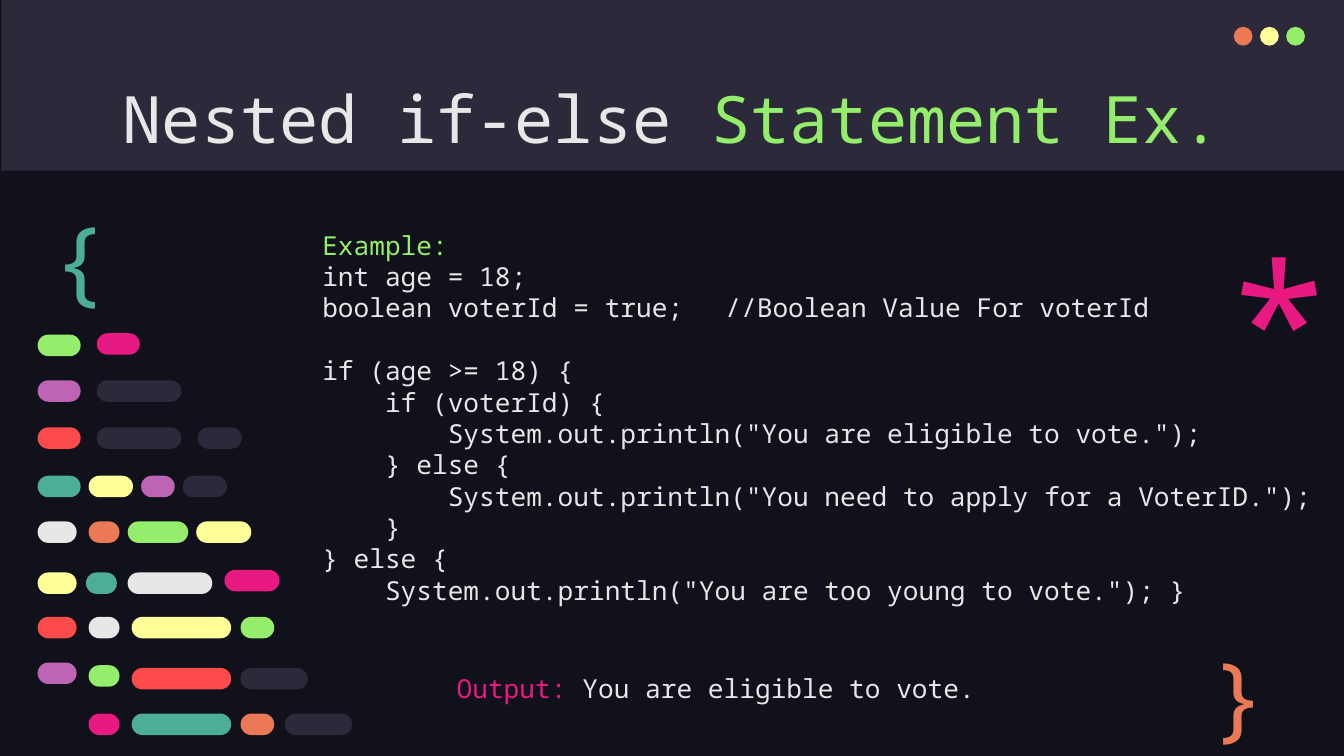
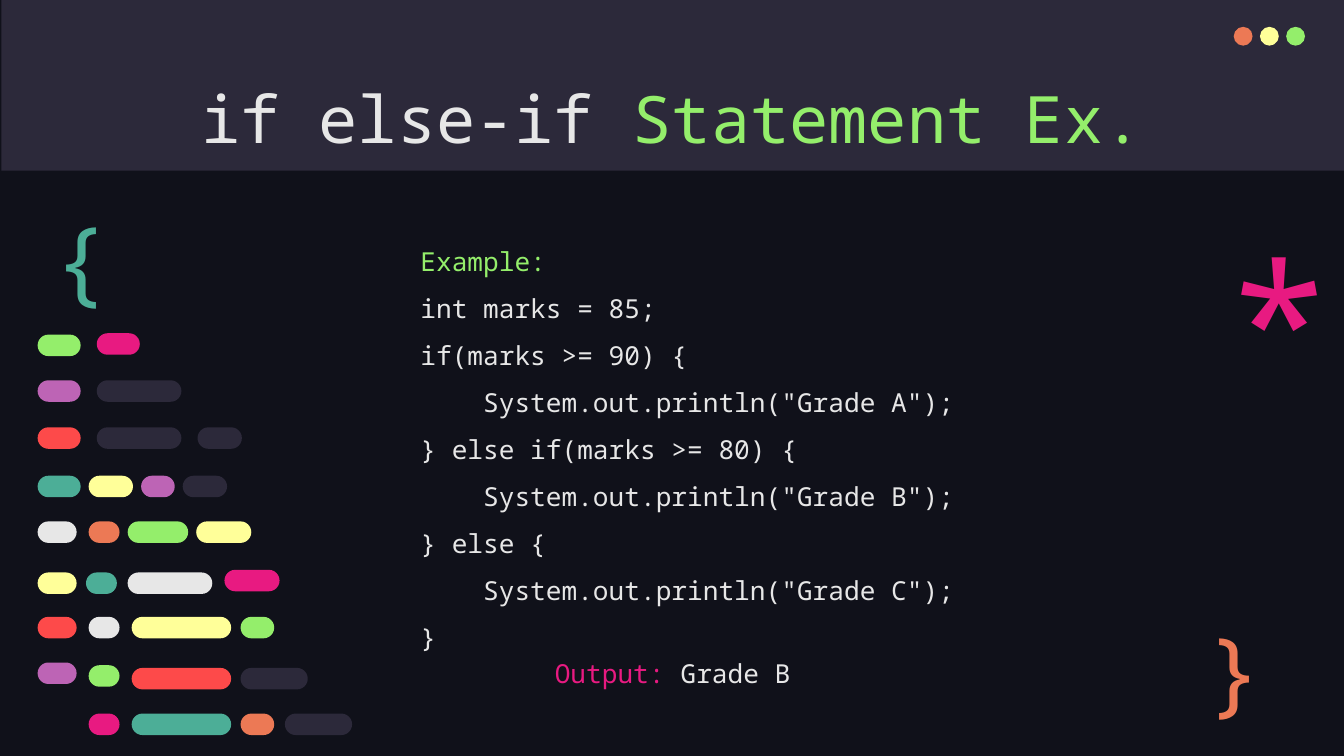
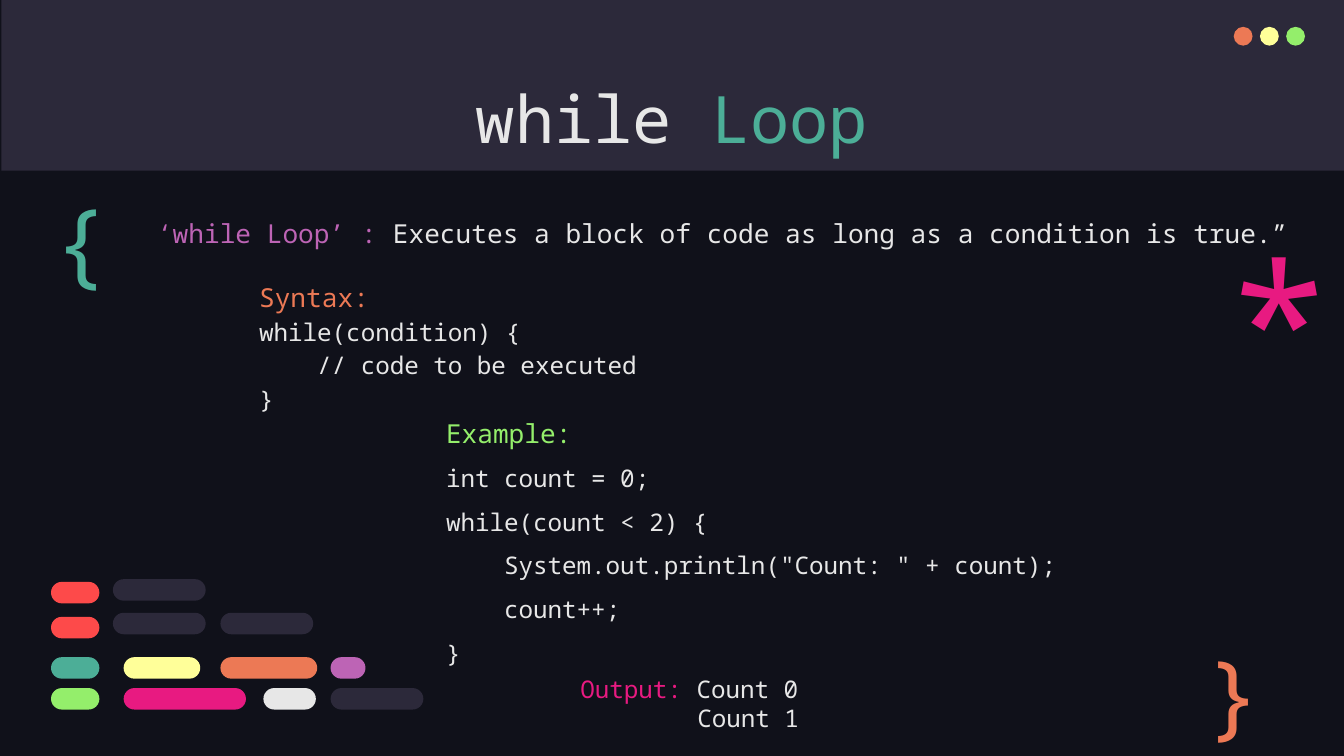
from dataclasses import dataclass

from pptx import Presentation
from pptx import util as u
from pptx.dml.color import RGBColor
from pptx.enum import shapes, text


@dataclass(frozen=True)
class Theme:
    font: str = "Noto Sans Mono"
    night: str = "10111A"
    slate: str = "2C293A"
    white: str = "E7E7E7"
    green: str = "94EE6B"
    pink: str = "E81A81"
    teal: str = "4CAE97"
    orange: str = "EC7955"
    yellow: str = "FFFF99"
    purple: str = "BD64B5"
    red: str = "FD4A4A"
    star_size: int = 96
    brace_size: int = 50
    title_size: int = 35
    lead_size: int = 14
    small_size: int = 13


THEME = Theme()
T = THEME


@dataclass
class Line:
    """One paragraph: (text, colour) spans, line spacing, points before, inches of indent."""
    spans: list
    spacing: float = 1.0
    before: float = 0
    indent: float = 0
    size: int = T.lead_size


def label(words, color):
    return Line([(words, color)], 1.15)


def code(source, spacing=1.0, size=T.lead_size):
    return [Line([(row, T.white)], spacing, size=size) for row in source.strip("\n").split("\n")]


def output(result, spacing=1.15, before=0, size=T.lead_size):
    return Line([("Output: ", T.pink), (result, T.white)], spacing, before, 1, size)


NESTED_SETUP = """
int age = 18;
boolean voterId = true;\t//Boolean Value For voterId
"""
NESTED_TEST = """
if (age >= 18) {
    if (voterId) {
        System.out.println("You are eligible to vote.");
    } else {
        System.out.println("You need to apply for a VoterID.");
    }
} else {
    System.out.println("You are too young to vote."); }
"""
GRADES = """
int marks = 85;
if(marks >= 90) {
    System.out.println("Grade A");
} else if(marks >= 80) {
    System.out.println("Grade B");
} else {
    System.out.println("Grade C");
}
"""
WHILE_SYNTAX = """
while(condition) {
    // code to be executed
}
"""
WHILE_EXAMPLE = """
int count = 0;
while(count < 2) {
    System.out.println("Count: " + count);
    count++;
}
"""

nested_test = code(NESTED_TEST)
nested_test[0].before = 16.8

# Rows of pills: top, then (left, width, colour) for each pill
TALL_PILLS = [
    (2.49, [(0.28, 0.32, T.green)]),
    (2.48, [(0.72, 0.32, T.pink)]),
    (2.83, [(0.28, 0.32, T.purple), (0.72, 0.63, T.slate)]),
    (3.18, [(0.28, 0.32, T.red), (0.72, 0.63, T.slate), (1.47, 0.33, T.slate)]),
    (3.54, [(0.28, 0.32, T.teal), (0.66, 0.33, T.yellow), (1.05, 0.25, T.purple),
            (1.36, 0.33, T.slate)]),
    (3.88, [(0.28, 0.29, T.white), (0.66, 0.23, T.orange), (0.95, 0.45, T.green),
            (1.46, 0.41, T.yellow)]),
    (4.26, [(0.28, 0.29, T.yellow), (0.64, 0.23, T.teal), (0.95, 0.63, T.white)]),
    (4.24, [(1.67, 0.41, T.pink)]),
    (4.59, [(0.28, 0.29, T.red), (0.66, 0.23, T.white), (0.98, 0.74, T.yellow),
            (1.79, 0.25, T.green)]),
    (4.93, [(0.28, 0.29, T.purple)]),
    (4.95, [(0.66, 0.23, T.green)]),
    (4.97, [(0.98, 0.74, T.red), (1.79, 0.5, T.slate)]),
    (5.31, [(0.66, 0.23, T.pink), (0.98, 0.74, T.teal), (1.79, 0.25, T.orange),
            (2.12, 0.5, T.slate)]),
]
SHORT_PILLS = [
    (4.33, [(0.38, 0.36, T.red)]),
    (4.31, [(0.84, 0.69, T.slate)]),
    (4.59, [(0.38, 0.36, T.red)]),
    (4.56, [(0.84, 0.69, T.slate), (1.64, 0.69, T.slate)]),
    (4.89, [(0.38, 0.36, T.teal), (0.92, 0.57, T.yellow), (1.64, 0.72, T.orange),
            (2.46, 0.26, T.purple)]),
    (5.12, [(0.38, 0.36, T.green), (0.92, 0.91, T.pink), (1.96, 0.39, T.white),
            (2.46, 0.69, T.slate)]),
]

# Boxes: (left, top, width, height), lines, vertical inset
SLIDES = [
    {
        "title": [("Nested if-else ", T.white), ("Statement Ex.", T.green)],
        "open": (0.29, 1.4), "close": (8.91, 4.74), "pills": TALL_PILLS,
        "boxes": [((2.3, 1.62, 7.63, 3.69),
                   [label("Example:", T.green), *code(NESTED_SETUP), *nested_test,
                    output("You are eligible to vote.", before=33.5)], 0.05)],
    },
    {
        "title": [("if else-if ", T.white), ("Statement Ex.", T.green)],
        "open": (0.3, 1.4), "close": (8.88, 4.56), "pills": TALL_PILLS,
        "boxes": [((3.03, 1.74, 5.33, 3.45),
                   [label("Example:", T.green), *code(GRADES, 1.5), output("Grade B")], 0.05)],
    },
    {
        "title": [("while ", T.white), ("Loop", T.teal)],
        "open": (0.3, 1.26), "close": (8.87, 4.73), "pills": SHORT_PILLS,
        "boxes": [
            ((1.83, 1.96, 8.14, 0.98),
             [label("Syntax:", T.orange), *code(WHILE_SYNTAX, 1.15, T.small_size)], 0.1),
            ((1.07, 1.57, 8.72, 0.34),
             [Line([("‘while Loop’ : ", T.purple),
                    ("Executes a block of code as long as a condition is true.”", T.white)])],
             0.05),
            ((3.22, 3.02, 7.05, 2.5),
             [label("Example:", T.green), *code(WHILE_EXAMPLE, 1.5, T.small_size),
              output("Count 0", 1.0, 3.6, T.small_size),
              Line([("Count 1", T.white)], indent=1.87, size=T.small_size)], 0.05),
        ],
    },
]


def inches(*lengths):
    return [u.Inches(length) for length in lengths]


def add_block(owner, preset, place, color):
    block = owner.shapes.add_shape(preset, *inches(*place))
    block.shadow.inherit = False
    block.fill.solid()
    block.fill.fore_color.rgb = RGBColor.from_string(color)
    block.line.fill.background()
    return block


def add_spans(para, spans, size):
    for words, color in spans:
        span = para.add_run()
        span.text = words
        span.font.name = THEME.font
        span.font.size = u.Pt(size)
        span.font.color.rgb = RGBColor.from_string(color)


def set_frame(frame, inset, anchor=text.MSO_ANCHOR.TOP):
    frame.word_wrap = True
    frame.vertical_anchor = anchor
    frame.margin_left = frame.margin_right = u.Inches(0.1)
    frame.margin_top = frame.margin_bottom = u.Inches(inset)


def add_lines(slide, place, lines, inset=0.1, anchor=text.MSO_ANCHOR.TOP):
    frame = slide.shapes.add_textbox(*inches(*place)).text_frame
    set_frame(frame, inset, anchor)
    for number, line in enumerate(lines):
        para = frame.add_paragraph() if number else frame.paragraphs[0]
        if line.indent:
            para._p.get_or_add_pPr().set("marL", str(u.Inches(line.indent)))
        para.line_spacing = line.spacing
        if line.before:
            para.space_before = u.Pt(line.before)
        add_spans(para, line.spans, line.size)


def add_symbol(slide, symbol, color, size, place, anchor=text.MSO_ANCHOR.TOP):
    add_lines(slide, place, [Line([(symbol, color)], size=size)], anchor=anchor)


def add_pills(slide, rows):
    group = slide.shapes.add_group_shape()
    for top, pills in rows:
        for left, width, color in pills:
            pill = add_block(group, shapes.MSO_SHAPE.ROUNDED_RECTANGLE,
                             (left, top, width, 0.16), color)
            pill.adjustments[0] = 0.5


def prepare_layout(layout):
    for holder in list(layout.placeholders):
        if holder.placeholder_format.type == shapes.PP_PLACEHOLDER.TITLE:
            holder.left, holder.top, holder.width, holder.height = inches(0.79, 0.48, 8.42, 0.63)
        else:
            layout.shapes.element.remove(holder.element)


def add_window_bar(slide, layout):
    """Draw the band and its three dots, then hand them to the shared layout."""
    band = add_block(slide, shapes.MSO_SHAPE.RECTANGLE, (0.01, 0, 10, 1.27), THEME.slate)
    dots = slide.shapes.add_group_shape()
    for number, color in enumerate((THEME.orange, THEME.yellow, THEME.green)):
        add_block(dots, shapes.MSO_SHAPE.OVAL, (9.18 + number * 0.195, 0.2, 0.14, 0.14), color)
    for part in (band, dots):
        layout.shapes.element.append(part.element)


def fill_slide(slide, content):
    frame = slide.shapes.title.text_frame
    set_frame(frame, 0.1)
    frame.auto_size = text.MSO_AUTO_SIZE.NONE
    frame.paragraphs[0].alignment = text.PP_ALIGN.CENTER
    add_spans(frame.paragraphs[0], content["title"], THEME.title_size)

    add_symbol(slide, "*", THEME.pink, THEME.star_size, (9.02, 1.48, 0.57, 0.87))
    add_symbol(slide, "{", THEME.teal, THEME.brace_size, (*content["open"], 0.77, 0.95))
    add_symbol(slide, "}", THEME.orange, THEME.brace_size, (*content["close"], 0.57, 0.83),
               text.MSO_ANCHOR.MIDDLE)
    for place, lines, inset in content["boxes"]:
        add_lines(slide, place, lines, inset)
    add_pills(slide, content["pills"])


def main():
    deck = Presentation()
    deck.slide_width, deck.slide_height = inches(10, 5.625)
    backdrop = deck.slide_master.background.fill
    backdrop.solid()
    backdrop.fore_color.rgb = RGBColor.from_string(THEME.night)
    layout = deck.slide_layouts.get_by_name("Title Only")
    prepare_layout(layout)
    for number, content in enumerate(SLIDES):
        slide = deck.slides.add_slide(layout)
        if number == 0:
            add_window_bar(slide, layout)
        fill_slide(slide, content)
    deck.save("out.pptx")


if __name__ == "__main__":
    main()
